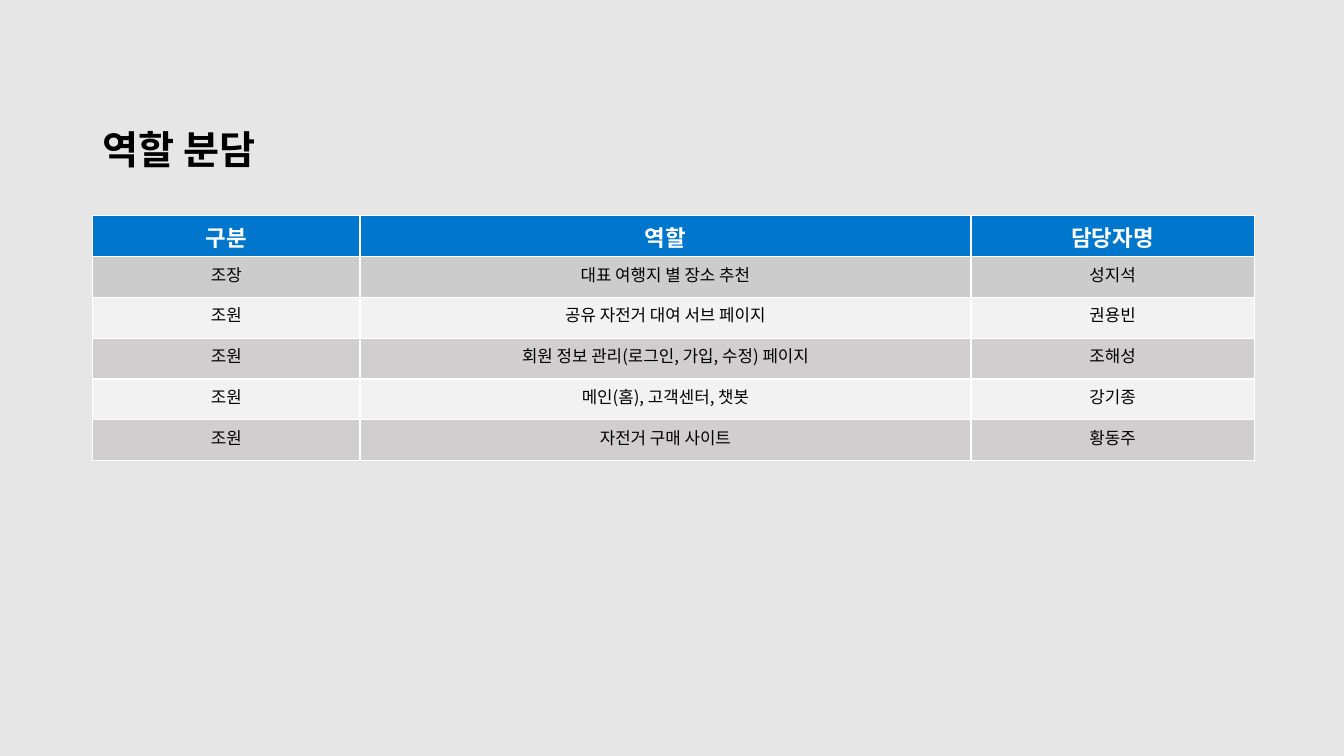
from dataclasses import dataclass

from lxml import etree
from pptx import Presentation
from pptx.dml.color import RGBColor
from pptx.enum import shapes, text
from pptx.oxml.ns import qn
from pptx.util import Inches, Pt


@dataclass(frozen=True)
class Theme:
    face: str = "Noto Sans CJK KR"
    back: str = "E7E6E6"
    ink: str = "000000"
    white: str = "FFFFFF"
    head: str = "0077CC"
    lead: str = "CCCCCC"
    light: str = "F2F2F2"
    dark: str = "D0CECE"
    title: int = 28
    label: int = 16
    body: int = 12


THEME = Theme()
WIDE, HIGH = 13.33, 7.5
ROLES = [
    ("구분", "역할", "담당자명"),
    ("조장", "대표 여행지 별 장소 추천", "성지석"),
    ("조원", "공유 자전거 대여 서브 페이지", "권용빈"),
    ("조원", "회원 정보 관리(로그인, 가입, 수정) 페이지", "조해성"),
    ("조원", "메인(홈), 고객센터, 챗봇", "강기종"),
    ("조원", "자전거 구매 사이트", "황동주"),
]
COLS = (2.65, 6.06, 2.81)
ROW = 0.405


def paint(item, color):
    item.fill.solid()
    item.fill.fore_color.rgb = RGBColor.from_string(color)


def style(para, size, color, bold):
    font = para.font
    font.size, font.bold, font.name = Pt(size), bold, THEME.face
    font.color.rgb = RGBColor.from_string(color)
    # Korean glyphs take the East Asian face
    props = para._p.pPr.find(qn("a:defRPr"))
    etree.SubElement(props, qn("a:ea")).set("typeface", THEME.face)


def add_back(slide, box):
    back = slide.shapes.add_shape(
        shapes.MSO_SHAPE.RECTANGLE, *map(Inches, box))
    back.shadow.inherit = False
    paint(back, THEME.back)
    back.line.fill.background()


def add_title(slide, box, words):
    frame = slide.shapes.add_textbox(*map(Inches, box)).text_frame
    frame.word_wrap = True
    frame.vertical_anchor = text.MSO_ANCHOR.MIDDLE
    para = frame.paragraphs[0]
    para.text = words
    para.line_spacing = 0.9
    style(para, THEME.title, THEME.ink, True)


def add_roles(slide, box, rows):
    table = slide.shapes.add_table(
        len(rows), len(COLS), *map(Inches, box)).table
    for col, width in zip(table.columns, COLS):
        col.width = Inches(width)
    for r, row in enumerate(rows):
        table.rows[r].height = Inches(ROW)
        # Header and leader rows first, then alternating bands
        if r < 2:
            fill = (THEME.head, THEME.lead)[r]
        else:
            fill = THEME.dark if r % 2 else THEME.light
        look = ((THEME.body, THEME.ink, False) if r
                else (THEME.label, THEME.white, True))
        for c, words in enumerate(row):
            cell = table.cell(r, c)
            paint(cell, fill)
            para = cell.text_frame.paragraphs[0]
            para.text = words
            para.alignment = text.PP_ALIGN.CENTER
            style(para, *look)


def main():
    deck = Presentation()
    deck.slide_width, deck.slide_height = Inches(WIDE), Inches(HIGH)
    slide = deck.slides.add_slide(deck.slide_layouts[6])
    add_back(slide, (0, 0, WIDE, HIGH))
    add_title(slide, (0.92, 1.22, 11.5, 0.58), "역할 분담")
    add_roles(slide, (0.92, 2.14, sum(COLS), ROW * len(ROLES)), ROLES)
    deck.save("out.pptx")


if __name__ == "__main__":
    main()
